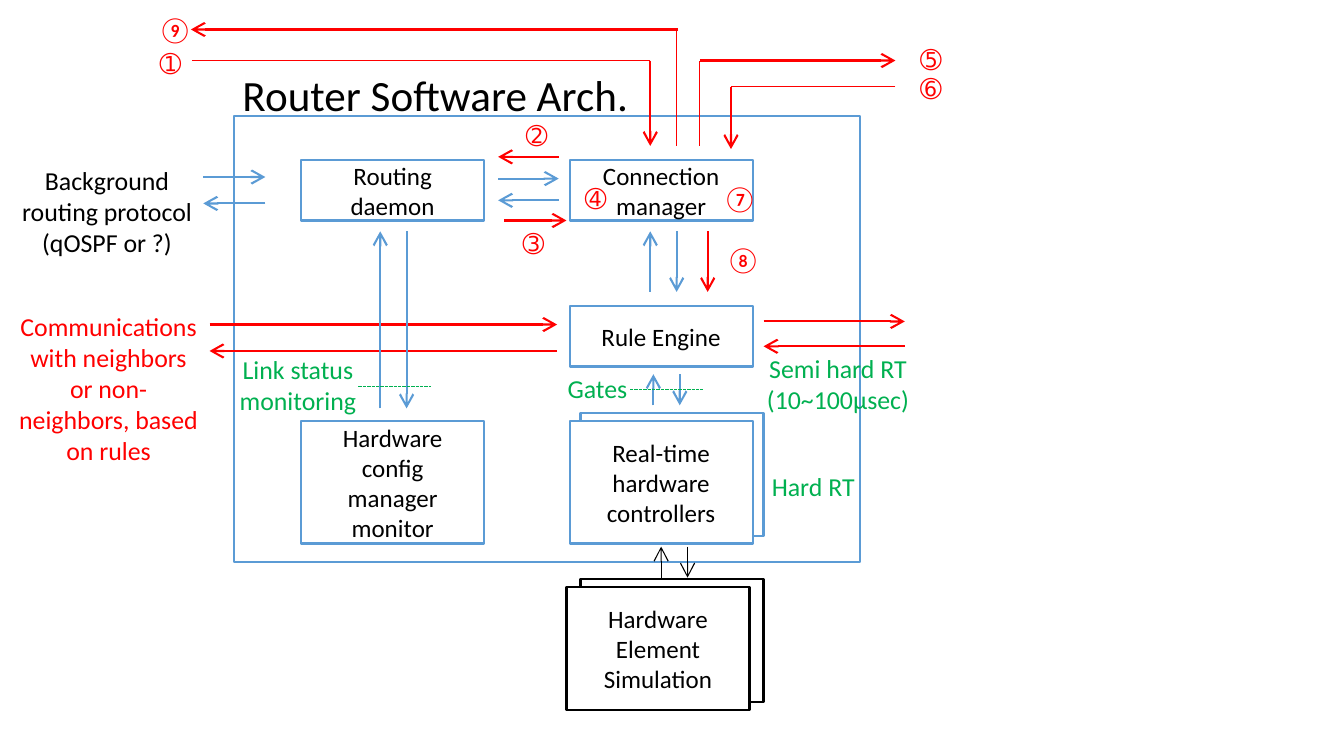
from lxml import etree
from pptx import Presentation
from pptx.dml.color import RGBColor
from pptx.enum.dml import MSO_LINE as Dash
from pptx.enum.shapes import MSO_CONNECTOR as Conn, MSO_SHAPE as Kind
from pptx.enum.text import MSO_ANCHOR as Anchor, MSO_AUTO_SIZE as Fit, PP_ALIGN as Align
from pptx.oxml.ns import qn
from pptx.util import Inches, Pt

BLUE = RGBColor(0x5B, 0x9B, 0xD5)
RED = RGBColor(0xFF, 0, 0)
GREEN = RGBColor(0, 0xB0, 0x50)
BLACK = RGBColor(0, 0, 0)
WHITE = RGBColor(0xFF, 0xFF, 0xFF)

deck = Presentation()
deck.slide_width = Inches(8.66)
deck.slide_height = Inches(4.72)
slide = deck.slides.add_slide(deck.slide_layouts[6])
shapes = slide.shapes


def write(shape, text, size, color):
    frame = shape.text_frame
    frame.word_wrap = True
    for i, line in enumerate(text.split("\n")):
        para = frame.add_paragraph() if i else frame.paragraphs[0]
        para.alignment = Align.CENTER
        run = para.add_run()
        run.text = line
        run.font.name = "Calibri"
        run.font.size = Pt(size)
        run.font.color.rgb = color
    return frame


def draw(x1, y1, x2, y2, color, width=1, head=True):
    line = shapes.add_connector(Conn.STRAIGHT, Inches(x1), Inches(y1), Inches(x2), Inches(y2))
    line.line.color.rgb = color
    line.line.width = Pt(width)
    if head:
        etree.SubElement(line.line._get_or_add_ln(), qn("a:tailEnd"), type="arrow")
    etree.SubElement(line._element.spPr, qn("a:effectLst"))
    return line


title = shapes.add_textbox(Inches(1.38), Inches(0.39), Inches(2.85), Inches(0.44))
write(title, "Router Software Arch.", 20, BLACK).auto_size = Fit.SHAPE_TO_FIT_TEXT

boxes = [
    (1.51, 0.75, 4.03, 2.87, BLUE, ""),
    (1.94, 1.03, 1.18, 0.39, BLUE, "Routing daemon"),
    (1.94, 2.71, 1.18, 0.79, BLUE, "Hardware config manager monitor"),
    (3.67, 1.03, 1.18, 0.39, BLUE, "Connection manager"),
    (3.67, 1.97, 1.18, 0.39, BLUE, "Rule Engine"),
    (3.74, 2.66, 1.18, 0.79, BLUE, ""),
    (3.67, 2.71, 1.18, 0.79, BLUE, "Real-time hardware controllers"),
    (3.74, 3.73, 1.18, 0.79, BLACK, ""),
    (3.65, 3.78, 1.18, 0.79, BLACK, "Hardware Element Simulation"),
]
for x, y, w, h, color, text in boxes:
    box = shapes.add_shape(Kind.RECTANGLE, Inches(x), Inches(y), Inches(w), Inches(h))
    box.shadow.inherit = False
    box.fill.solid()
    box.fill.fore_color.rgb = WHITE
    box.line.color.rgb = color
    box.line.width = Pt(1)
    if text:
        write(box, text, 11.6, BLACK).vertical_anchor = Anchor.MIDDLE

for left, right, out, back, color in [
    (3.21, 3.6, 1.15, 1.29, BLUE),
    (1.31, 1.71, 1.14, 1.31, BLUE),
    (1.35, 3.59, 2.09, 2.26, RED),
    (4.92, 5.83, 2.07, 2.23, RED),
]:
    draw(left, out, right, out, color)
    draw(right, back, left, back, color)

for x, top, low, color, width in [
    (4.19, 1.49, 1.88, BLUE, 1),
    (4.21, 2.41, 2.61, BLUE, 1),
    (4.26, 3.52, 3.72, BLACK, 0.5),
    (2.45, 1.49, 2.63, BLUE, 1),
]:
    draw(x, low, x, top, color, width)
    draw(x + 0.17, top, x + 0.17, low, color, width)

for ends in [
    (3.6, 1.01, 3.21, 1.01),
    (3.25, 1.42, 3.65, 1.42),
    (4.56, 1.49, 4.56, 1.88),
    (4.19, 0.39, 4.19, 0.94),
    (4.37, 0.19, 1.23, 0.19),
    (4.51, 0.39, 5.77, 0.39),
    (4.71, 0.56, 4.71, 0.96),
]:
    draw(*ends, RED)

for ends in [
    (4.19, 0.39, 1.24, 0.39),
    (4.36, 0.94, 4.36, 0.19),
    (4.51, 0.94, 4.51, 0.39),
    (5.77, 0.56, 4.71, 0.56),
]:
    draw(*ends, RED, 0.5, False)

for x, y in [(2.31, 2.49), (4.06, 2.51)]:
    gate = draw(x, y, x + 0.47, y, GREEN, 0.5, False)
    gate.line.dash_style = Dash.SQUARE_DOT

notes = [
    (0, 1.01, 0.91, BLACK, "Background routing protocol (qOSPF or ?)"),
    (0.01, 1.95, 0.91, RED, "Communications with neighbors or non-neighbors, based on rules"),
    (1.23, 2.23, 0.5, GREEN, "Link status monitoring"),
    (3.16, 2.35, 0.3, GREEN, "Gates"),
    (4.55, 2.98, 0.3, GREEN, "Hard RT"),
    (4.71, 2.22, 0.5, GREEN, "Semi hard RT\n(10~100μsec)"),
]
steps = [
    (0.93, 0.26, "➀"),
    (3.29, 0.72, "➁"),
    (3.27, 1.42, "➂"),
    (3.67, 1.13, "➃"),
    (5.83, 0.23, "➄"),
    (5.83, 0.42, "➅"),
    (4.56, 1.13, "⑦"),
    (4.58, 1.52, "⑧"),
    (0.92, 0.04, "⑨"),
]
labels = [(x, y, 1.38, h, color, text) for x, y, h, color, text in notes]
labels += [(x, y, 0.3, 0.3, RED, text) for x, y, text in steps]
for x, y, w, h, color, text in labels:
    label = shapes.add_textbox(Inches(x), Inches(y), Inches(w), Inches(h))
    write(label, text, 12, color).auto_size = Fit.SHAPE_TO_FIT_TEXT

deck.save("out.pptx")
